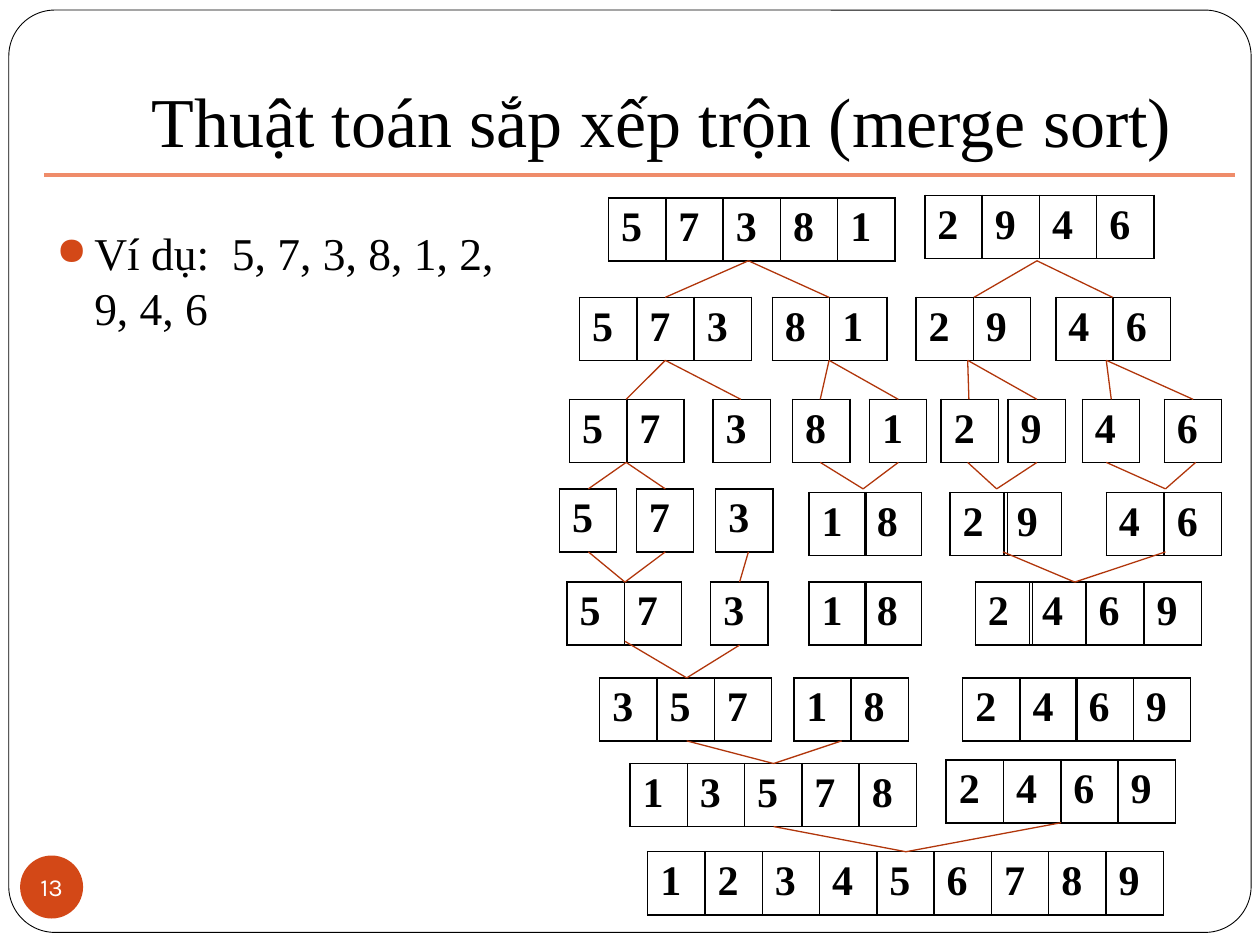
"""Build the merge sort example slide with its splitting and merging steps."""
from lxml import etree
from pptx import Presentation
from pptx.dml.color import RGBColor
from pptx.enum.shapes import MSO_CONNECTOR, MSO_SHAPE
from pptx.enum.text import MSO_ANCHOR, PP_ALIGN
from pptx.oxml.ns import qn
from pptx.util import Inches, Pt

STRAIGHT = MSO_CONNECTOR.STRAIGHT
ROUNDED, OVAL = MSO_SHAPE.ROUNDED_RECTANGLE, MSO_SHAPE.OVAL
CENTER = PP_ALIGN.CENTER
BOTTOM, MIDDLE = MSO_ANCHOR.BOTTOM, MSO_ANCHOR.MIDDLE
SERIF, SANS = "Times New Roman", "Karla"
COLORS = {"ink": "000000", "paper": "FFFFFF", "rule": "EF8C6A",
          "accent": "D34817", "branch": "B1360B"}
CELL_WIDTH = 0.91 / 2

ARRAYS = [
    (1.57, [(4.83, "57381")]),
    (1.55, [(7.34, "2946")]),
    (2.36, [(4.6, "573"), (6.13, "81"), (7.27, "29"), (8.38, "46")]),
    (3.17, [(4.52, "57"), (5.66, "3"), (6.29, "8"), (6.9, "1"),
            (7.47, "2"), (8, "9"), (8.59, "4"), (9.24, "6")]),
    (3.88, [(4.44, "5"), (5.05, "7"), (5.68, "3")]),
    (3.91, [(6.42, "1"), (6.86, "8"), (7.54, "2"), (7.97, "9"),
            (8.78, "4"), (9.24, "6")]),
    (4.62, [(4.5, "57"), (5.64, "3"), (6.42, "1"), (6.86, "8"),
            (7.74, "2"), (8.17, "4"), (8.62, "6"), (9.08, "9")]),
    (5.38, [(4.76, "357"), (6.3, "18"), (7.64, "24"), (8.54, "69")]),
    (6.06, [(5, "13578")]),
    (6.03, [(7.51, "2469")]),
    (6.76, [(5.14, "123456789")]),
]
SPLITS = [
    (2.07, 2.36, [(5.94, (5.28, 6.58)), (8.23, (7.73, 8.83))]),
    (2.86, 3.17, [(5.28, (4.97, 5.88)), (6.58, (6.51, 7.13)),
                  (7.68, (7.69, 8.23)), (8.78, (8.82, 9.47))]),
    (3.67, 3.88, [(4.97, (4.67, 5.28))]),
]
MERGES = [
    ((6.85, 3.88), [(6.51, 3.67), (7.13, 3.67)]),
    ((7.91, 3.88), [(7.68, 3.67), (8.23, 3.67)]),
    ((9.25, 3.88), [(8.78, 3.67), (9.49, 3.67)]),
    ((4.96, 4.62), [(4.67, 4.38), (5.28, 4.38)]),
    ((5.87, 4.62), [(5.94, 4.38)]),
    ((8.53, 4.62), [(7.96, 4.38), (9.25, 4.38)]),
    ((5.45, 5.38), [(4.96, 5.09), (5.87, 5.12)]),
    ((6.14, 6.06), [(5.45, 5.88), (6.68, 5.88)]),
    ((7.19, 6.76), [(6.14, 6.56), (8.42, 6.53)]),
]


def write(paragraph, text, size, color="ink", font=SERIF, bold=False):
    run = paragraph.add_run()
    run.text = text
    run.font.name = font
    run.font.size = Pt(size)
    run.font.bold = bold
    run.font.color.rgb = RGBColor.from_string(COLORS[color])


def draw_line(start, end, color, width):
    line = slide.shapes.add_connector(
        STRAIGHT, *(Inches(value) for value in (*start, *end)))
    line.line.color.rgb = RGBColor.from_string(COLORS[color])
    line.line.width = Pt(width)
    etree.SubElement(line._element.spPr, qn("a:effectLst"))


prs = Presentation()
prs.slide_width, prs.slide_height = Inches(10), Inches(7.5)
slide = prs.slides.add_slide(prs.slide_layouts[6])

frame = slide.shapes.add_shape(ROUNDED, Inches(0.07), Inches(0.08), Inches(9.86), Inches(7.32))
frame.adjustments[0] = 0.05
frame.shadow.inherit = False
frame.fill.solid()
frame.fill.fore_color.rgb = RGBColor.from_string(COLORS["paper"])
frame.line.color.rgb = RGBColor.from_string(COLORS["ink"])
frame.line.width = Pt(0.5)

title = slide.shapes.add_textbox(Inches(1), Inches(0.13), Inches(8.5), Inches(1.25)).text_frame
title.word_wrap = True
title.vertical_anchor = BOTTOM
title.margin_bottom = Inches(0.1)
title.paragraphs[0].alignment = CENTER
write(title.paragraphs[0], "Thuật toán sắp xếp trộn (merge sort)", 40)
draw_line((0.35, 1.39), (9.8, 1.39), "rule", 2)

badge = slide.shapes.add_shape(OVAL, Inches(0.16), Inches(6.79), Inches(0.5), Inches(0.5))
badge.shadow.inherit = False
badge.fill.solid()
badge.fill.fore_color.rgb = RGBColor.from_string(COLORS["accent"])
badge.line.fill.background()
page_number = badge.text_frame
page_number.word_wrap = False
page_number.vertical_anchor = MIDDLE
page_number.margin_left = page_number.margin_right = 0
page_number.margin_top = page_number.margin_bottom = 0
page_number.paragraphs[0].alignment = CENTER
write(page_number.paragraphs[0], "13", 14, "paper", SANS)

example = slide.shapes.add_textbox(Inches(0.35), Inches(1.66), Inches(3.94), Inches(5.47)).text_frame
example.word_wrap = True
example.margin_top = Inches(0.13)
bullet = example.paragraphs[0]._p.get_or_add_pPr()
bullet.set("marL", str(Inches(0.3)))
bullet.set("indent", str(-Inches(0.3)))
bullet_color = etree.SubElement(bullet, qn("a:buClr"))
etree.SubElement(bullet_color, qn("a:srgbClr"), val=COLORS["accent"])
etree.SubElement(bullet, qn("a:buSzPct"), val="85000")
etree.SubElement(bullet, qn("a:buChar"), char="●")
write(example.paragraphs[0], "Ví dụ:  5, 7, 3, 8, 1, 2, 9, 4, 6", 26)

for top, arrays in ARRAYS:
    for left, digits in arrays:
        holder = slide.shapes.add_table(
            1, len(digits), Inches(left), Inches(top),
            Inches(CELL_WIDTH * len(digits)), Inches(0.39))
        array = holder.table
        array.first_row = array.horz_banding = False
        for cell, digit in zip(array.rows[0].cells, digits):
            borders = cell._tc.get_or_add_tcPr()
            for side in ("a:lnL", "a:lnR", "a:lnT", "a:lnB"):
                border = etree.SubElement(borders, qn(side), w=str(Pt(1)))
                ink = etree.SubElement(border, qn("a:solidFill"))
                etree.SubElement(ink, qn("a:srgbClr"), val=COLORS["ink"])
            cell.fill.background()
            write(cell.text_frame.paragraphs[0], digit, 24, bold=True)
        holder.height = Inches(0.5)

for top, bottom, forks in SPLITS:
    for whole, halves in forks:
        for half in halves:
            draw_line((whole, top), (half, bottom), "branch", 0.75)

for merged, parts in MERGES:
    for part in parts:
        draw_line(part, merged, "branch", 0.75)

prs.save("out.pptx")
